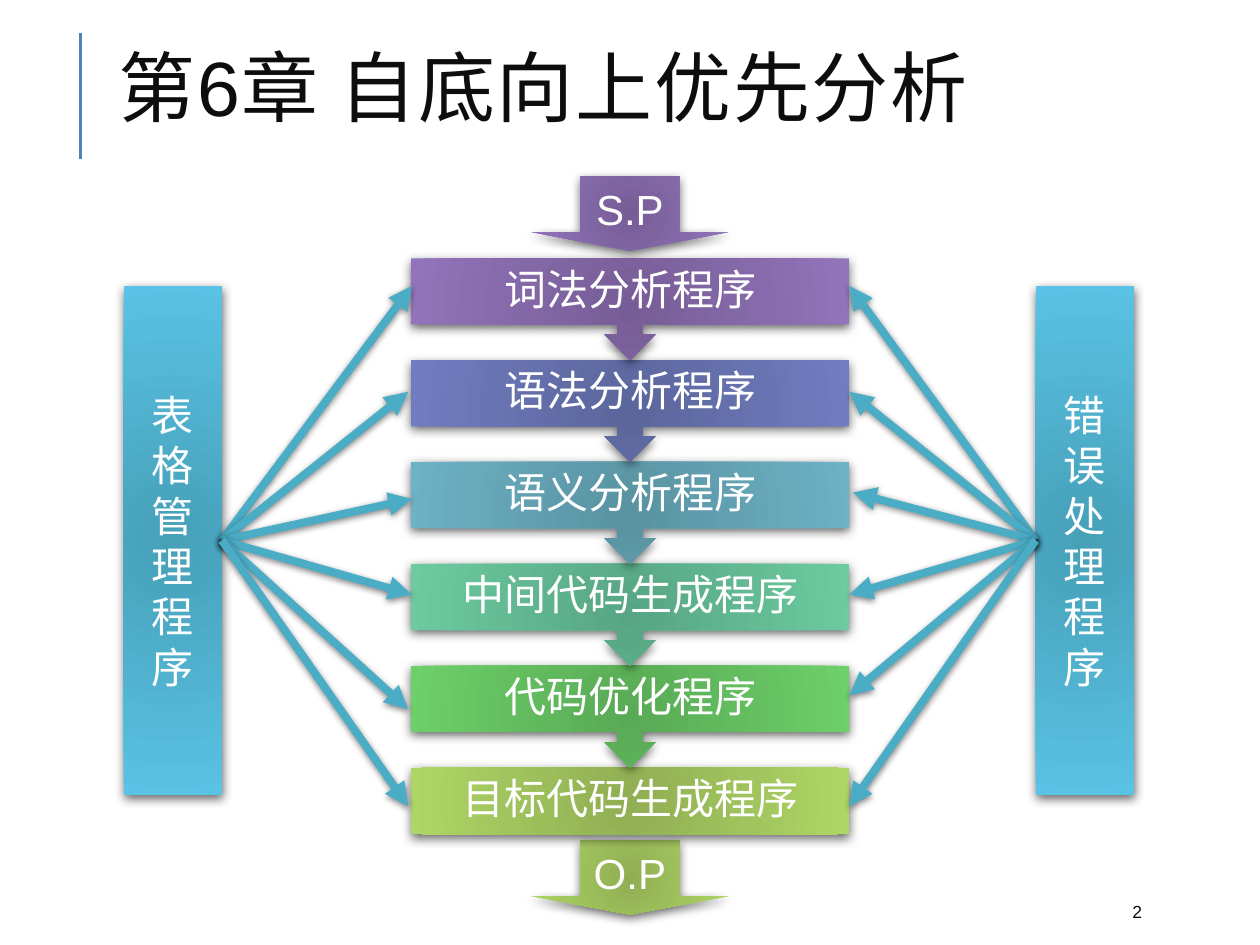
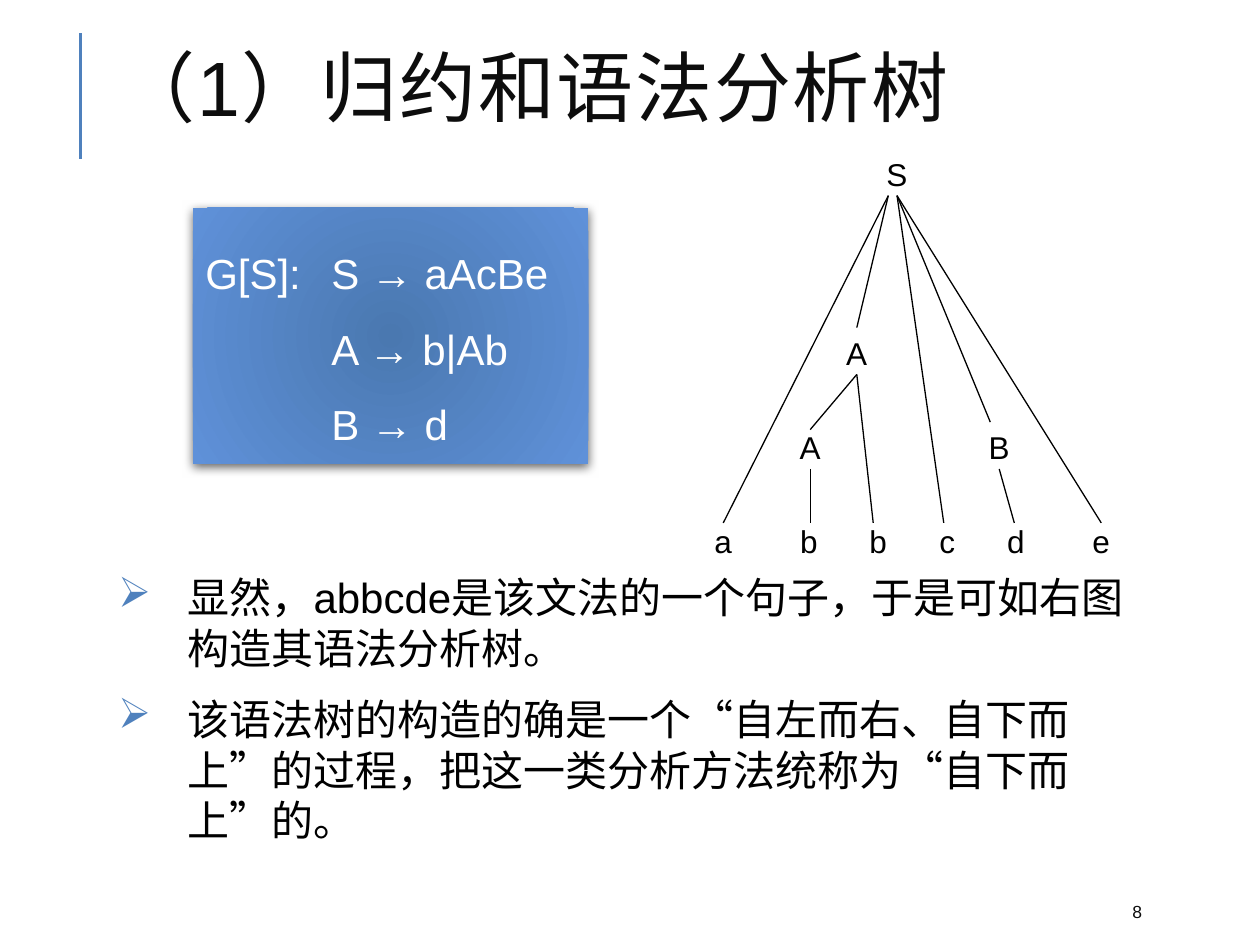
from dataclasses import dataclass
from typing import NamedTuple

from lxml.etree import SubElement
from pptx import Presentation
from pptx.dml.color import RGBColor
from pptx.enum.shapes import MSO_CONNECTOR, MSO_SHAPE as Preset
from pptx.enum.text import MSO_ANCHOR as Anchor, MSO_AUTO_SIZE, PP_ALIGN as Align
from pptx.oxml.ns import qn
from pptx.util import Pt

INK, BLACK, WHITE = "0D0D0D", "000000", "FFFFFF"
ACCENT, TEAL = "4F81BD", "4BACC6"
LATIN, HAN = "Arial", "Noto Sans CJK SC"


class Box(NamedTuple):
    x: float
    y: float
    w: float
    h: float


class Shade(NamedTuple):
    inner: str
    outer: str


class Shadow(NamedTuple):
    alpha: int
    blur: float
    dist: float


class Line(NamedTuple):
    x1: float
    y1: float
    x2: float
    y2: float


class Node(NamedTuple):
    label: str
    center: float
    top: float


@dataclass(frozen=True)
class TextStyle:
    size: float
    color: str
    font: str = LATIN
    align: Align = Align.LEFT
    anchor: Anchor = Anchor.MIDDLE
    spacing: float = 1.0
    wrap: bool = True


TITLE = TextStyle(44, INK, spacing=0.8)
NUMBER = TextStyle(10, INK)
BODY = TextStyle(24, BLACK, anchor=Anchor.TOP)
ARROW = TextStyle(24, WHITE, align=Align.CENTER, wrap=False)
BAR = TextStyle(24, WHITE, font=HAN, align=Align.CENTER, wrap=False)
STAGE = TextStyle(24, WHITE, align=Align.CENTER, spacing=0.9)
GRAMMAR = TextStyle(24, WHITE, align=Align.JUSTIFY, spacing=1.5)
NODE = TextStyle(18, BLACK, align=Align.CENTER, anchor=Anchor.TOP)

SHAPE_SHADOW = Shadow(60, 6, 2)
LINE_SHADOW = Shadow(50, 4, 1)

PURPLE = Shade("775D97", "9274BA")
LIME = Shade("90AE53", "AED666")
CYAN = Shade("46A0B8", "5AC2E4")
BLUE = Shade("4A78B0", "5F91D9")

STAGES = [
    ("词法分析程序", PURPLE),
    ("语法分析程序", Shade("5B669C", "717DC0")),
    ("语义分析程序", Shade("5992A1", "6EB2C5")),
    ("中间代码生成程序", Shade("57A584", "6CCB9F")),
    ("代码优化程序", Shade("59AA55", "6DD069")),
    ("目标代码生成程序", LIME),
]
STAGE_X, STAGE_TOP, STAGE_W = 234.7, 147.6, 250.6
STAGE_PITCH, STAGE_H = 58.2, 38

TABLE_TARGETS = [(235.4, 163.4), (233.3, 223.9), (235.4, 285.1),
                 (235.4, 339.8), (233.3, 405.4), (233.3, 460.8)]
ERROR_TARGETS = [(485.3, 163.4), (485.3, 223.9), (487.4, 281.5),
                 (485.3, 339.8), (485.3, 397.4), (485.3, 460.8)]

LEAF_TOP, LOWER_TOP, UPPER_TOP, ROOT_TOP = 294.5, 241.2, 187.2, 85
LEAF_EDGE, LOWER_EDGE = 298.8, 245.5
NODE_W, NODE_H, NODE_FOOT = 36, 28.8, 26.8
NODES = [Node(label, x, LEAF_TOP) for label, x in
         zip("abbcde", (413.3, 462.2, 501.8, 541.4, 580.5, 629.3))]
NODES += [Node("A", 463, LOWER_TOP), Node("B", 571, LOWER_TOP),
          Node("A", 489.6, UPPER_TOP), Node("S", 512.6, ROOT_TOP)]
ROOT_FOOT, UPPER_FOOT, LOWER_FOOT = (
    top + NODE_FOOT for top in (ROOT_TOP, UPPER_TOP, LOWER_TOP))
BRANCHES = [
    Line(507.6, ROOT_FOOT, 413.3, LEAF_EDGE),
    Line(507.6, ROOT_FOOT, 489.6, UPPER_TOP),
    Line(512.6, ROOT_FOOT, 539.3, LEAF_EDGE),
    Line(512.6, ROOT_FOOT, 565.9, LOWER_TOP),
    Line(512.6, ROOT_FOOT, 629.3, LEAF_EDGE),
    Line(489.6, UPPER_FOOT, 463, LOWER_EDGE),
    Line(489.6, UPPER_FOOT, 499, LEAF_EDGE),
    Line(463, LOWER_FOOT, 463, LEAF_EDGE),
    Line(571, LOWER_FOOT, 579.6, LEAF_EDGE),
]


def rgb(color: str) -> RGBColor:
    return RGBColor.from_string(color)


def write(tf, text: str, style: TextStyle) -> None:
    tf.text = text
    tf.word_wrap = style.wrap
    tf.auto_size = MSO_AUTO_SIZE.NONE
    tf.vertical_anchor = style.anchor
    for p in tf.paragraphs:
        p.alignment = style.align
        p.line_spacing = style.spacing
        for r in p.runs:
            r.font.size = Pt(style.size)
            r.font.name = style.font
            r.font.color.rgb = rgb(style.color)


def indent(p, left: float, first: float) -> None:
    pPr = p._p.get_or_add_pPr()
    pPr.set("marL", str(Pt(left)))
    pPr.set("indent", str(Pt(first)))


def add_text(slide, box: Box, text: str, style: TextStyle):
    s = slide.shapes.add_textbox(*map(Pt, box))
    write(s.text_frame, text, style)
    return s


def cast_shadow(effects, shadow: Shadow) -> None:
    outer = SubElement(effects, qn("a:outerShdw"), blurRad=str(Pt(shadow.blur)),
                       dist=str(Pt(shadow.dist)), dir="5400000", rotWithShape="0")
    clr = SubElement(outer, qn("a:srgbClr"), val=BLACK)
    SubElement(clr, qn("a:alpha"), val=str(shadow.alpha * 1000))


def shade_radially(s, shade: Shade) -> None:
    s.fill.gradient()
    for stop, color in zip(s.fill.gradient_stops, shade):
        stop.color.rgb = rgb(color)
    grad = s._element.spPr.find(qn("a:gradFill"))
    grad.remove(grad.find(qn("a:lin")))
    circle = SubElement(grad, qn("a:path"), path="circle")
    SubElement(circle, qn("a:fillToRect"), {side: "100000" for side in "ltrb"})


def add_block(slide, preset: Preset, box: Box, shade: Shade, text: str, style: TextStyle):
    """Add a shaded preset shape with a soft shadow and its text."""
    s = slide.shapes.add_shape(preset, *map(Pt, box))
    s.line.fill.background()
    shade_radially(s, shade)
    s.shadow.inherit = False
    cast_shadow(s._element.spPr.find(qn("a:effectLst")), SHAPE_SHADOW)
    write(s.text_frame, text, style)
    return s


def add_line(slide, line: Line, color: str, width: float):
    s = slide.shapes.add_connector(MSO_CONNECTOR.STRAIGHT, *map(Pt, line))
    s.line.color.rgb = rgb(color)
    s.line.width = Pt(width)
    SubElement(s._element.spPr, qn("a:effectLst"))
    return s


def add_fan(slide, bar, site: int, targets: list[tuple[float, float]]) -> None:
    """Draw arrows from one side of a bar to all targets."""
    for x, y in targets:
        s = add_line(slide, Line(0, 0, x, y), TEAL, 4.5)
        s.begin_connect(bar, site)
        spPr = s._element.spPr
        SubElement(spPr.find(qn("a:ln")), qn("a:tailEnd"), type="triangle")
        cast_shadow(spPr.find(qn("a:effectLst")), LINE_SHADOW)


def new_slide(prs, title: str, number: int):
    slide = prs.slides.add_slide(prs.slide_layouts[5])
    add_line(slide, Line(46.1, 90.7, 46.1, 18.7), ACCENT, 1.5)
    s = slide.shapes.title
    s.left, s.top, s.width, s.height = map(Pt, Box(60.5, 18.7, 612, 70.6))
    write(s.text_frame, title, TITLE)
    for r in s.text_frame.paragraphs[0].runs:
        r._r.get_or_add_rPr().set("spc", "100")
    add_text(slide, Box(640, 509.8, 57.6, 21.6), str(number), NUMBER)
    return slide


def build_compiler(prs) -> None:
    slide = new_slide(prs, "第6章 自底向上优先分析", 2)
    for text, y, shade in (("S.P", 100.8, PURPLE), ("O.P", 480.2, LIME)):
        s = add_block(slide, Preset.DOWN_ARROW, Box(303.5, y, 113, 42.5), shade, text, ARROW)
        s.adjustments[0], s.adjustments[1] = 0.5, 0.25

    last = len(STAGES) - 1
    for i, (text, shade) in reversed(list(enumerate(STAGES))):
        preset, height = ((Preset.RECTANGLE, STAGE_H) if i == last
                          else (Preset.DOWN_ARROW_CALLOUT, STAGE_PITCH))
        box = Box(STAGE_X, STAGE_TOP + i * STAGE_PITCH, STAGE_W, height)
        s = add_block(slide, preset, box, shade, text, STAGE)
        s.text_frame.margin_top = s.text_frame.margin_bottom = 0

    for text, x, site, targets in (("表格管理程序", 70.6, 3, TABLE_TARGETS),
                                   ("错误处理程序", 591.8, 1, ERROR_TARGETS)):
        bar = add_block(slide, Preset.RECTANGLE, Box(x, 163.4, 56.2, 290.9), CYAN,
                        "\n".join(text), BAR)
        add_fan(slide, bar, site, targets)


def build_syntax_tree(prs) -> None:
    slide = new_slide(prs, "（1）归约和语法分析树", 8)
    body = add_text(slide, Box(60.5, 323.3, 612, 186.5),
                    "显然，abbcde是该文法的一个句子，于是可如右图构造其语法分析树。\n"
                    "该语法树的构造的确是一个“自左而右、自下而上”的过程，"
                    "把这一类分析方法统称为“自下而上”的。", BODY)
    for i, p in enumerate(body.text_frame.paragraphs):
        indent(p, 39.6, -39.6)
        p.space_before = Pt(6 if i else 0)
        p.space_after = Pt(6)
        pPr = p._p.get_or_add_pPr()
        SubElement(SubElement(pPr, qn("a:buClr")), qn("a:srgbClr"), val=ACCENT)
        SubElement(pPr, qn("a:buChar"), char="➢")

    grammar = add_block(slide, Preset.RECTANGLE, Box(110.2, 118.8, 226, 146.2), BLUE,
                        "G[S]:\tS → aAcBe\nA → b|Ab\nB → d", GRAMMAR)
    for i, p in enumerate(grammar.text_frame.paragraphs):
        indent(p, 72, 0 if i else -72)

    for node in NODES:
        add_text(slide, Box(node.center - NODE_W / 2, node.top, NODE_W, NODE_H),
                 node.label, NODE)
    for branch in BRANCHES:
        add_line(slide, branch, BLACK, 0.75)


def main() -> None:
    prs = Presentation()
    prs.slide_width, prs.slide_height = Pt(720), Pt(540)
    build_compiler(prs)
    build_syntax_tree(prs)
    prs.save("out.pptx")


if __name__ == "__main__":
    main()
